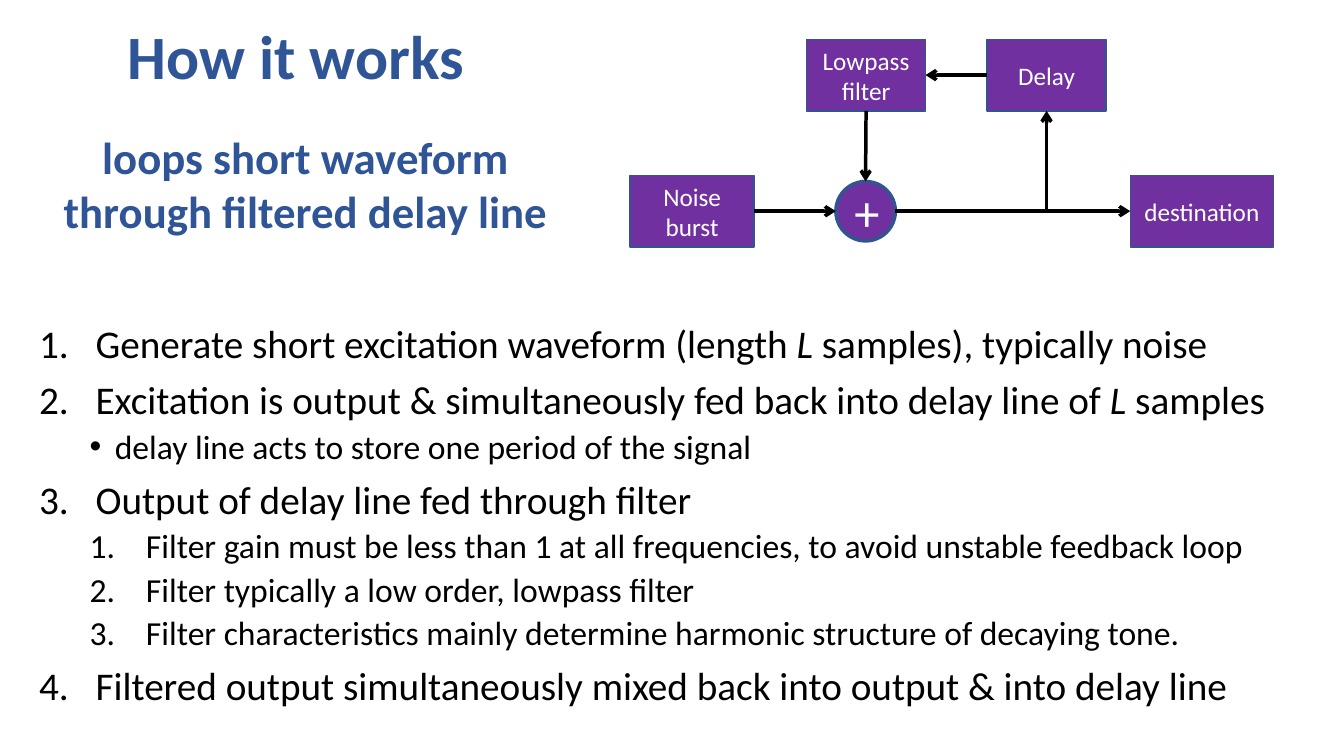
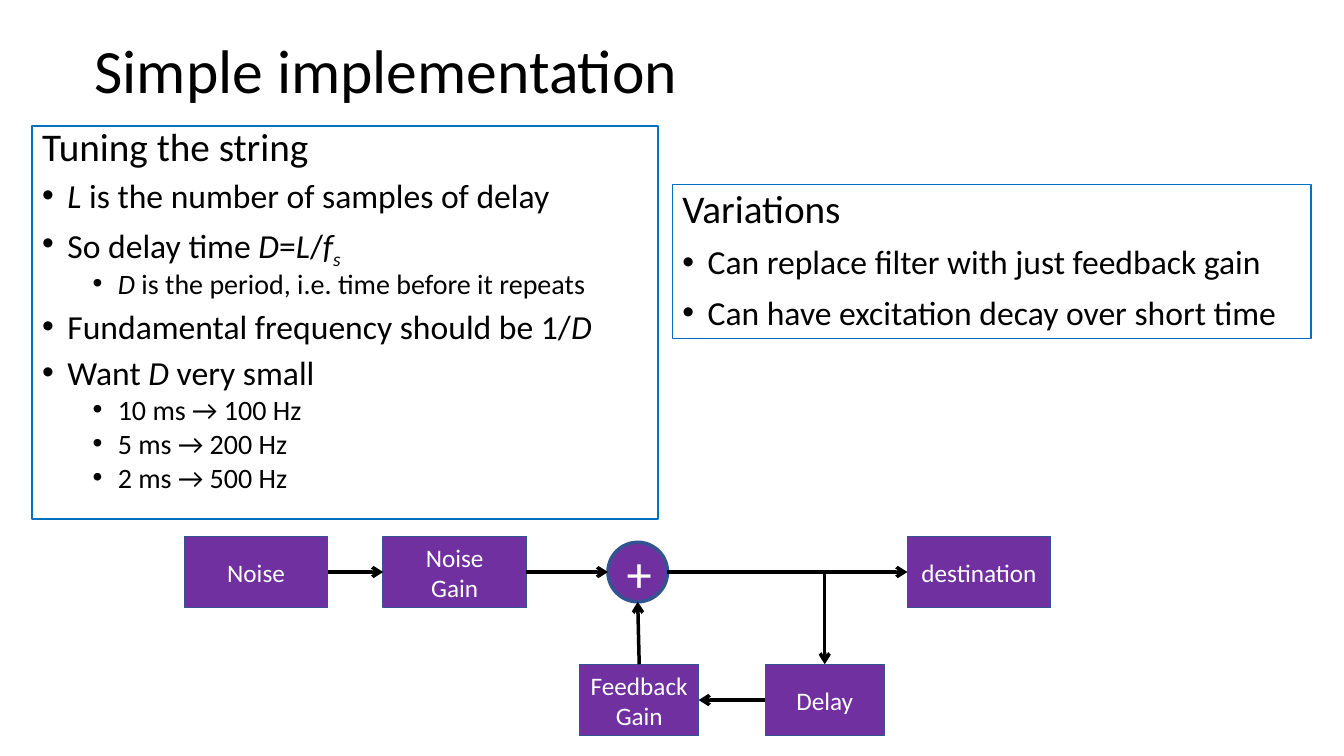
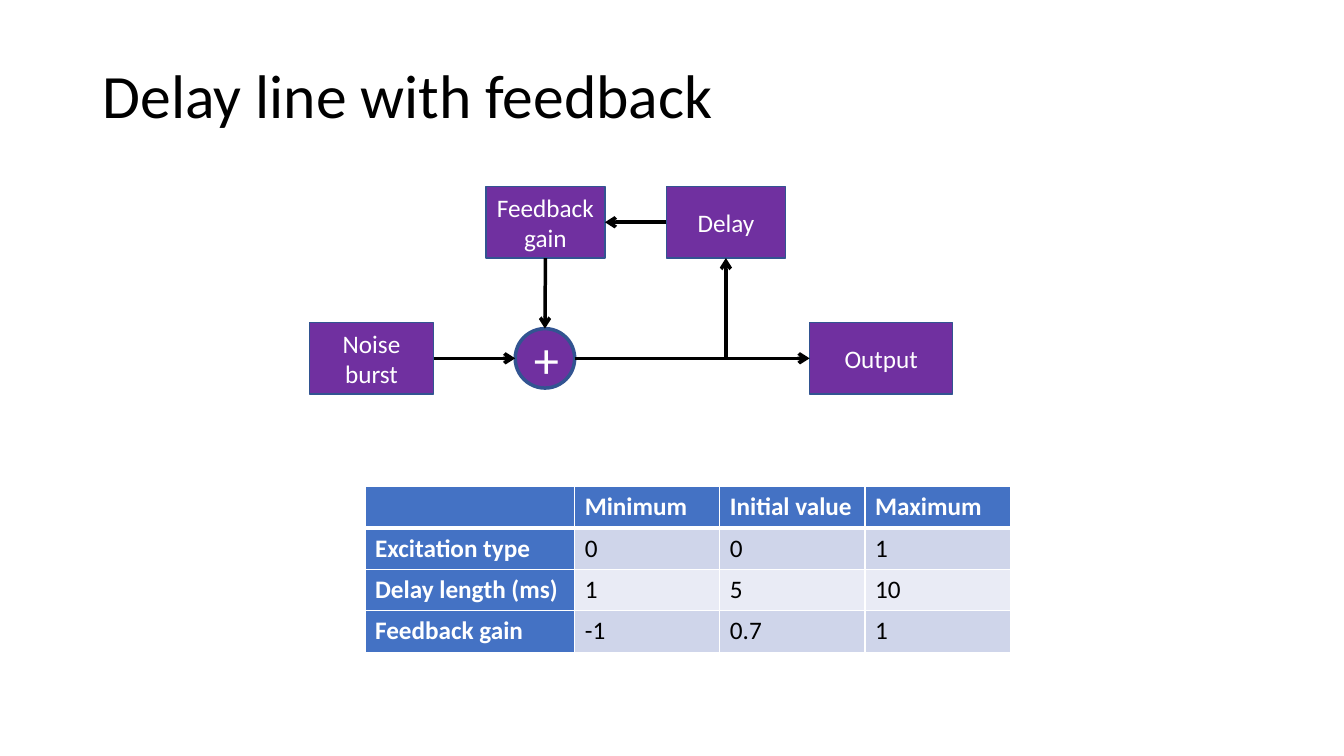
from lxml.etree import SubElement
from pptx import Presentation
from pptx.dml.color import RGBColor
from pptx.enum.shapes import MSO_CONNECTOR as CONN, MSO_SHAPE as SHAPE
from pptx.enum.text import MSO_ANCHOR as ANCHOR, PP_ALIGN as ALIGN
from pptx.oxml.ns import qn
from pptx.util import Inches, Pt


def rgb(value):
    return RGBColor.from_string(value)


class Deck:
    FONT = "Calibri"
    BLACK, WHITE = "000000", "FFFFFF"
    HEADING, FRAME = "2F5597", "0070C0"
    BLOCK, EDGE = "7030A0", "325491"
    HEADER, BANDS = "4472C4", ("E9EBF5", "CFD5EA")
    LISTS = {
        "plain": (0, 0, 0, 10, None),
        "number": (0, 0.56, 0.56, 10, "buAutoNum"),
        "bullet": (0, 0.25, 0.25, 10, "buChar"),
        "subnumber": (1, 1.06, 0.56, 5, "buAutoNum"),
        "subbullet": (1, 0.75, 0.25, 5, "buChar"),
    }

    def __init__(self):
        self.prs = Presentation()
        self.prs.slide_width = Inches(13.33)
        self.prs.slide_height = Inches(7.5)
        self.s = None

    def new_slide(self):
        self.s = self.prs.slides.add_slide(self.prs.slide_layouts[6])

    def style(self, r, size, color=BLACK, bold=False, italic=False):
        f = r.font
        f.name, f.size, f.bold, f.italic = self.FONT, Pt(size), bold, italic
        f.color.rgb = rgb(color)

    def box(self, x, y, w, h, framed=False):
        sp = self.s.shapes.add_textbox(*map(Inches, (x, y, w, h)))
        sp.text_frame.word_wrap = True
        if framed:
            sp.line.color.rgb = rgb(self.FRAME)
            sp.line.width = Pt(1.25)
        return sp.text_frame

    def heading(self, text, x, y, w, h, size=44, color=BLACK, bold=False,
                align=ALIGN.LEFT, spacing=0.9, anchor=ANCHOR.MIDDLE):
        tf = self.box(x, y, w, h)
        tf.vertical_anchor = anchor
        tf.text = text
        p = tf.paragraphs[0]
        p.alignment, p.line_spacing = align, spacing
        self.style(p.runs[0], size, color, bold)

    def outline(self, x, y, w, h, items, spacing=0.9, framed=False):
        tf = self.box(x, y, w, h, framed)
        for i, (kind, size, text) in enumerate(items):
            p = tf.add_paragraph() if i else tf.paragraphs[0]
            p.line_spacing = spacing
            self.list_format(p, kind)
            self.rich_text(p, text, size)

    def list_format(self, p, kind):
        level, margin, hang, before, tag = self.LISTS[kind]
        p.level, p.space_before = level, Pt(before)
        if tag is None:
            return
        pPr = p._p.get_or_add_pPr()
        pPr.set("marL", str(Inches(margin)))
        pPr.set("indent", str(-Inches(hang)))
        if tag == "buChar":
            SubElement(pPr, qn("a:buFont"), typeface="Arial")
            SubElement(pPr, qn("a:buChar"), char="•")
        else:
            SubElement(pPr, qn("a:buFont"), typeface="+mj-lt")
            SubElement(pPr, qn("a:buAutoNum"), type="arabicPeriod")

    def rich_text(self, p, text, size):
        for i, part in enumerate(text.split("*")):
            base, _, sub = part.partition("_")
            for piece, offset in ((base, None), (sub, "-25000")):
                if piece:
                    r = p.add_run()
                    r.text = piece
                    self.style(r, size, italic=i % 2 == 1)
                    if offset:
                        r._r.get_or_add_rPr().set("baseline", offset)

    def block(self, text, x, y, w=1.18, h=0.71, kind=SHAPE.RECTANGLE, size=18, line=1):
        sp = self.s.shapes.add_shape(kind, *map(Inches, (x, y, w, h)))
        sp.shadow.inherit = False
        sp.fill.solid()
        sp.fill.fore_color.rgb = rgb(self.BLOCK)
        sp.line.color.rgb = rgb(self.EDGE)
        sp.line.width = Pt(line)
        tf = sp.text_frame
        tf.word_wrap, tf.vertical_anchor = True, ANCHOR.MIDDLE
        tf.text = text
        for p in tf.paragraphs:
            p.alignment = ALIGN.CENTER
            self.style(p.runs[0], size, self.WHITE)
        return sp

    def mixer(self, x, y):
        return self.block("+", x, y, 0.59, 0.59, SHAPE.OVAL, 36, 2.5)

    @staticmethod
    def at(sp, fx, fy):
        return sp.left + int(sp.width * fx), sp.top + int(sp.height * fy)

    def arrow(self, start, end):
        c = self.s.shapes.add_connector(CONN.STRAIGHT, *start, *end)
        c.line.color.rgb = rgb(self.BLACK)
        c.line.width = Pt(2.5)
        SubElement(c.line._get_or_add_ln(), qn("a:tailEnd"), type="arrow")
        SubElement(c._element.spPr, qn("a:effectLst"))

    def flow(self, *blocks):
        for a, b in zip(blocks, blocks[1:]):
            self.arrow(self.at(a, 1, 0.5), self.at(b, 0, 0.5))

    def feedback(self, mixer, delay, gain, above):
        near, far = (1, 0) if above else (0, 1)
        tap = self.at(delay, 0.5, near)
        self.arrow((tap[0], self.at(mixer, 0.5, 0.5)[1]), tap)
        self.arrow(self.at(delay, 0, 0.5), self.at(gain, 1, 0.5))
        self.arrow(self.at(gain, 0.5, near), self.at(mixer, 0.5, far))

    def loop_diagram(self, x, y, gain_text, output_text):
        noise = self.block("Noise\nburst", x, y + 1.35, 1.23)
        delay = self.block("Delay", x + 3.54, y)
        gain = self.block(gain_text, x + 1.75, y)
        output = self.block(output_text, x + 4.96, y + 1.35, 1.42)
        mixer = self.mixer(x + 2.04, y + 1.41)
        self.flow(noise, mixer, output)
        self.feedback(mixer, delay, gain, above=True)

    def table(self, x, y, widths, row_height, rows):
        frame = self.s.shapes.add_table(len(rows), len(widths), Inches(x), Inches(y),
                                        Inches(sum(widths)), Inches(row_height * len(rows)))
        tbl = frame.table
        tbl.first_col = True
        for col, width in zip(tbl.columns, widths):
            col.width = Inches(width)
        for i, row in enumerate(rows):
            tbl.rows[i].height = Inches(row_height)
            for j, text in enumerate(row):
                cell = tbl.cell(i, j)
                head = i == 0 or j == 0
                self.borders(cell, L=1, R=1, T=3 if i == 1 else 1, B=1 if i else 3)
                cell.fill.solid()
                cell.fill.fore_color.rgb = rgb(self.HEADER if head else self.BANDS[i % 2])
                cell.text = text
                for r in cell.text_frame.paragraphs[0].runs:
                    self.style(r, 18, self.WHITE if head else self.BLACK, bold=head)

    def borders(self, cell, **widths):
        tcPr = cell._tc.get_or_add_tcPr()
        for side, width in widths.items():
            ln = SubElement(tcPr, qn("a:ln" + side), w=str(Pt(width)))
            SubElement(SubElement(ln, qn("a:solidFill")), qn("a:srgbClr"), val=self.WHITE)


def how_it_works(d):
    d.new_slide()
    d.heading("How it works", 0.09, 0.09, 5.69, 1.01, color=d.HEADING, bold=True,
              align=ALIGN.CENTER)
    d.heading("loops short waveform through filtered delay line", 0.23, 1.24, 5.6, 1.18,
              size=32, color=d.HEADING, bold=True, align=ALIGN.CENTER, spacing=1.0,
              anchor=ANCHOR.TOP)
    d.outline(0.29, 3.17, 12.74, 4.18, [
        ("number", 28, "Generate short excitation waveform (length *L* samples), typically noise"),
        ("number", 28, "Excitation is output & simultaneously fed back into delay line of *L* samples"),
        ("subbullet", 24, "delay line acts to store one period of the signal"),
        ("number", 28, "Output of delay line fed through filter"),
        ("subnumber", 24, "Filter gain must be less than 1 at all frequencies, to avoid unstable feedback loop"),
        ("subnumber", 24, "Filter typically a low order, lowpass filter"),
        ("subnumber", 24, "Filter characteristics mainly determine harmonic structure of decaying tone."),
        ("number", 28, "Filtered output simultaneously mixed back into output & into delay line"),
    ])
    d.loop_diagram(6.25, 0.39, "Lowpass filter", "destination")


def simple_implementation(d):
    d.new_slide()
    d.heading("Simple implementation", 0.84, 0.2, 11.5, 1.05)
    d.outline(0.32, 1.25, 6.21, 3.9, [
        ("plain", 28, "Tuning the string"),
        ("bullet", 24, "*L* is the number of samples of delay"),
        ("bullet", 24, "So delay time *D*=*L*/*f_s*"),
        ("subbullet", 20, "*D* is the period, i.e. time before it repeats"),
        ("bullet", 24, "Fundamental frequency should be 1/*D*"),
        ("bullet", 24, "Want *D* very small"),
        ("subbullet", 20, "10 ms → 100 Hz"),
        ("subbullet", 20, "5 ms → 200 Hz"),
        ("subbullet", 20, "2 ms → 500 Hz"),
    ], spacing=0.8, framed=True)
    d.outline(6.67, 1.83, 6.33, 1.53, [
        ("plain", 28, "Variations"),
        ("bullet", 24, "Can replace filter with just feedback gain"),
        ("bullet", 24, "Can have excitation decay over short time"),
    ], framed=True)
    top, bottom = 5.32, 6.59
    noise, noise_gain, output = [
        d.block(text, x, top, 1.42)
        for text, x in (("Noise", 1.83), ("Noise\nGain", 3.8), ("destination", 9))]
    delay = d.block("Delay", 7.59, bottom)
    gain = d.block("Feedback\nGain", 5.75, bottom)
    mixer = d.mixer(6.03, top + 0.06)
    d.flow(noise, noise_gain, mixer, output)
    d.feedback(mixer, delay, gain, above=False)


def delay_line(d):
    d.new_slide()
    d.heading("Delay line with feedback", 0.92, 0.4, 11.5, 1.16)
    d.loop_diagram(3.07, 1.85, "Feedback\ngain", "Output")
    d.table(3.62, 4.83, [2.08, 1.44, 1.44, 1.44], 0.41, [
        ("", "Minimum", "Initial value", "Maximum"),
        ("Excitation type", "0", "0", "1"),
        ("Delay length (ms)", "1", "5", "10"),
        ("Feedback gain", "-1", "0.7", "1"),
    ])


def main():
    d = Deck()
    for build in (how_it_works, simple_implementation, delay_line):
        build(d)
    d.prs.save("out.pptx")


if __name__ == "__main__":
    main()
